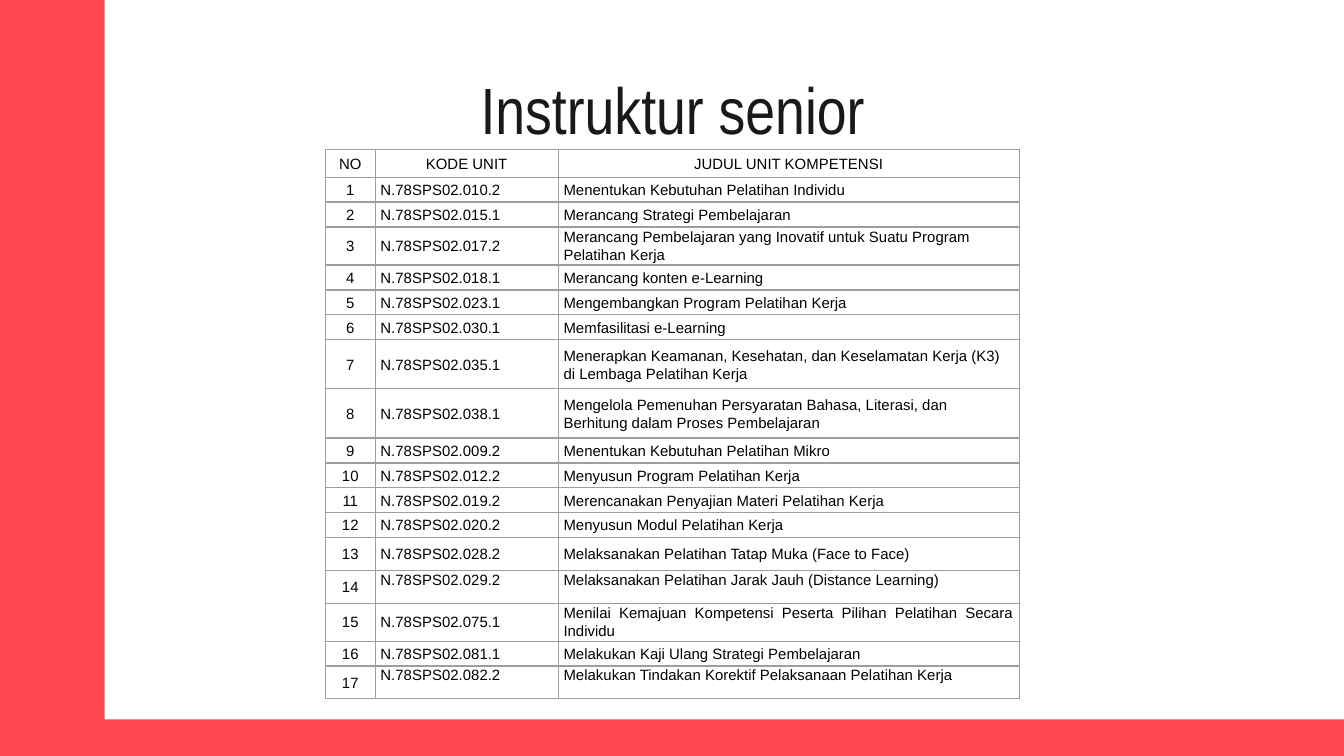
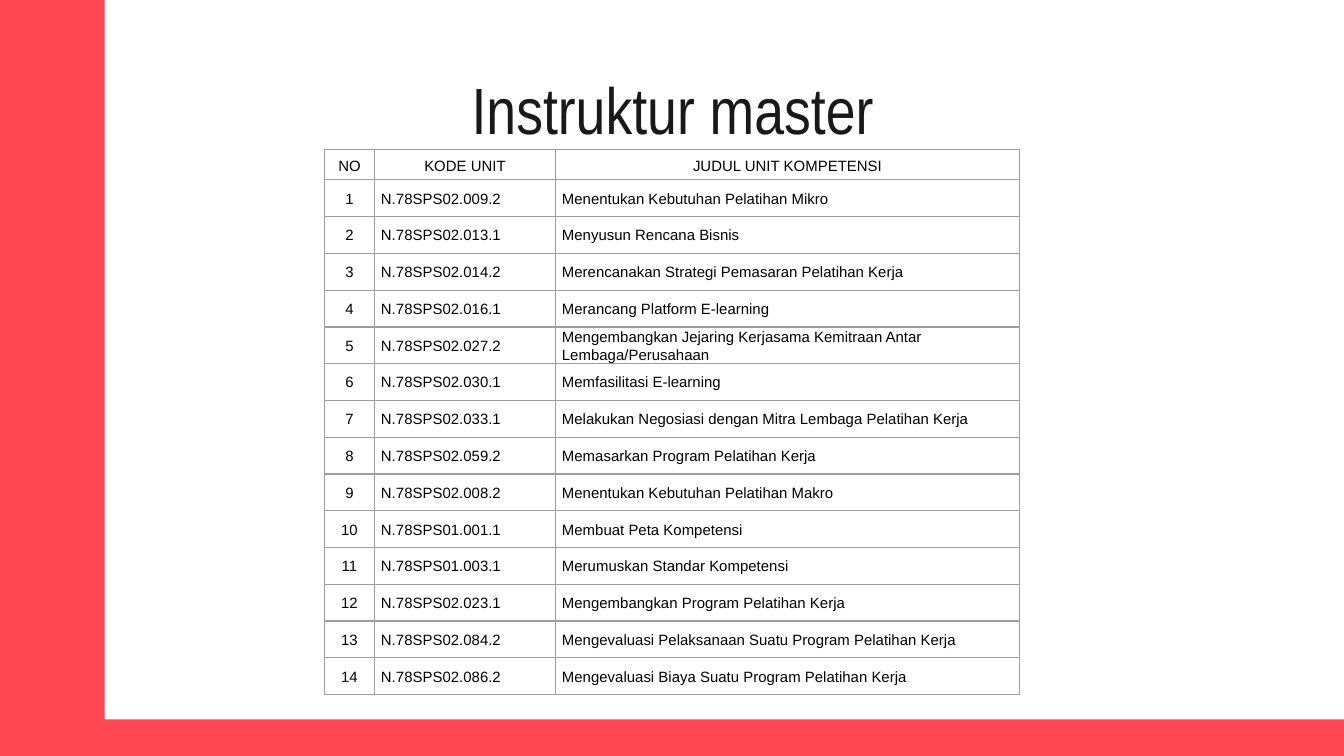
from dataclasses import dataclass

from lxml import etree
from pptx import Presentation
from pptx.dml.color import RGBColor
from pptx.enum.shapes import MSO_SHAPE
from pptx.enum.text import MSO_ANCHOR, MSO_AUTO_SIZE, PP_ALIGN
from pptx.oxml.ns import qn
from pptx.util import Cm, Length, Pt

RECTANGLE = MSO_SHAPE.RECTANGLE
LEFT, CENTER, JUSTIFY = PP_ALIGN.LEFT, PP_ALIGN.CENTER, PP_ALIGN.JUSTIFY
TOP, MIDDLE = MSO_ANCHOR.TOP, MSO_ANCHOR.MIDDLE
NO_AUTOFIT = MSO_AUTO_SIZE.NONE

RED = RGBColor(0xFF, 0x48, 0x52)
INK = RGBColor(0x19, 0x19, 0x19)
BLACK = RGBColor(0, 0, 0)
GRAY = RGBColor(0x9E, 0x9E, 0x9E)
TITLE_FONT, TABLE_FONT = "Arial Narrow", "Arial"

PAGE_WIDTH, PAGE_HEIGHT = Cm(25.4), Cm(14.29)
TITLE_ONLY_LAYOUT = 5
HEADINGS = ("NO", "KODE UNIT", "JUDUL UNIT KOMPETENSI")
SINGLE, ROOMY, DOUBLE, TALL = Cm(0.47), Cm(0.62), Cm(0.72), Cm(0.93)
MASTER_HEADER = Cm(0.58)
MASTER_ROW = Cm((10.32 - 0.58) / 14)


@dataclass(frozen=True)
class Band:
    left: Length
    top: Length
    width: Length
    height: Length


@dataclass(frozen=True)
class Unit:
    code: str
    title: str
    height: Length = SINGLE
    align: PP_ALIGN = LEFT
    anchor: MSO_ANCHOR = MIDDLE


@dataclass(frozen=True)
class UnitPage:
    title: str
    left: Length
    top: Length
    columns: tuple[Length, ...]
    header_height: Length
    inset: Length
    units: tuple[Unit, ...]


BANDS = (
    Band(Cm(0), Cm(0), Cm(1.98), PAGE_HEIGHT),
    Band(Cm(0), Cm(13.6), PAGE_WIDTH, PAGE_HEIGHT - Cm(13.6)),
)

SENIOR_UNITS = (
    Unit("N.78SPS02.010.2", "Menentukan Kebutuhan Pelatihan Individu"),
    Unit("N.78SPS02.015.1", "Merancang Strategi Pembelajaran"),
    Unit("N.78SPS02.017.2",
         "Merancang Pembelajaran yang Inovatif untuk Suatu Program Pelatihan Kerja",
         DOUBLE),
    Unit("N.78SPS02.018.1", "Merancang konten e-Learning"),
    Unit("N.78SPS02.023.1", "Mengembangkan Program Pelatihan Kerja"),
    Unit("N.78SPS02.030.1", "Memfasilitasi e-Learning"),
    Unit("N.78SPS02.035.1",
         "Menerapkan Keamanan, Kesehatan, dan Keselamatan Kerja (K3) "
         "di Lembaga Pelatihan Kerja", TALL),
    Unit("N.78SPS02.038.1",
         "Mengelola Pemenuhan Persyaratan Bahasa, Literasi, dan "
         "Berhitung dalam Proses Pembelajaran", TALL),
    Unit("N.78SPS02.009.2", "Menentukan Kebutuhan Pelatihan Mikro", align=JUSTIFY),
    Unit("N.78SPS02.012.2", "Menyusun Program Pelatihan Kerja", align=JUSTIFY),
    Unit("N.78SPS02.019.2", "Merencanakan Penyajian Materi Pelatihan Kerja",
         align=JUSTIFY),
    Unit("N.78SPS02.020.2", "Menyusun Modul Pelatihan Kerja", align=JUSTIFY),
    Unit("N.78SPS02.028.2", "Melaksanakan Pelatihan Tatap Muka (Face to Face)",
         ROOMY, JUSTIFY),
    Unit("N.78SPS02.029.2", "Melaksanakan Pelatihan Jarak Jauh (Distance Learning)",
         ROOMY, anchor=TOP),
    Unit("N.78SPS02.075.1",
         "Menilai Kemajuan Kompetensi Peserta Pilihan Pelatihan Secara Individu",
         DOUBLE, JUSTIFY),
    Unit("N.78SPS02.081.1", "Melakukan Kaji Ulang Strategi Pembelajaran",
         align=JUSTIFY),
    Unit("N.78SPS02.082.2", "Melakukan Tindakan Korektif Pelaksanaan Pelatihan Kerja",
         ROOMY, anchor=TOP),
)

MASTER_UNITS = (
    Unit("N.78SPS02.009.2", "Menentukan Kebutuhan Pelatihan Mikro", MASTER_ROW),
    Unit("N.78SPS02.013.1", "Menyusun Rencana Bisnis", MASTER_ROW),
    Unit("N.78SPS02.014.2", "Merencanakan Strategi Pemasaran Pelatihan Kerja",
         MASTER_ROW),
    Unit("N.78SPS02.016.1", "Merancang Platform E-learning", MASTER_ROW),
    Unit("N.78SPS02.027.2",
         "Mengembangkan Jejaring Kerjasama Kemitraan Antar Lembaga/Perusahaan",
         MASTER_ROW),
    Unit("N.78SPS02.030.1", "Memfasilitasi E-learning", MASTER_ROW),
    Unit("N.78SPS02.033.1", "Melakukan Negosiasi dengan Mitra Lembaga Pelatihan Kerja",
         MASTER_ROW),
    Unit("N.78SPS02.059.2", "Memasarkan Program Pelatihan Kerja", MASTER_ROW),
    Unit("N.78SPS02.008.2", "Menentukan Kebutuhan Pelatihan Makro", MASTER_ROW, JUSTIFY),
    Unit("N.78SPS01.001.1", "Membuat Peta Kompetensi", MASTER_ROW, JUSTIFY),
    Unit("N.78SPS01.003.1", "Merumuskan Standar Kompetensi", MASTER_ROW, JUSTIFY),
    Unit("N.78SPS02.023.1", "Mengembangkan Program Pelatihan Kerja", MASTER_ROW, JUSTIFY),
    Unit("N.78SPS02.084.2", "Mengevaluasi Pelaksanaan Suatu Program Pelatihan Kerja",
         MASTER_ROW, JUSTIFY),
    Unit("N.78SPS02.086.2", "Mengevaluasi Biaya Suatu Program Pelatihan Kerja",
         MASTER_ROW, JUSTIFY),
)

UNIT_PAGES = (
    UnitPage("Instruktur senior", Cm(6.15), Cm(2.83),
             (Cm(0.94), Cm(3.46), Cm(8.71)), Cm(0.52), Cm(0.1), SENIOR_UNITS),
    UnitPage("Instruktur master", Cm(6.13), Cm(2.82),
             (Cm(0.95), Cm(3.42), Cm(8.77)), MASTER_HEADER, Cm(0.12), MASTER_UNITS),
)


def add_span(para, text: str, font: str, size: float, color: RGBColor) -> None:
    span = para.add_run()
    span.text = text
    span.font.name = font
    span.font.size = Pt(size)
    span.font.color.rgb = color


def draw_band(page, band: Band) -> None:
    shape = page.shapes.add_shape(RECTANGLE, band.left, band.top, band.width, band.height)
    shape.shadow.inherit = False
    shape.fill.solid()
    shape.fill.fore_color.rgb = RED
    shape.line.fill.background()


def write_title(page, text: str) -> None:
    box = page.shapes.title
    box.left, box.top, box.width, box.height = Cm(2.01), Cm(1.24), Cm(21.41), Cm(1.6)
    frame = box.text_frame
    frame.auto_size = NO_AUTOFIT
    frame.word_wrap = True
    frame.vertical_anchor = MIDDLE
    frame.margin_left = frame.margin_right = Cm(0.25)
    frame.margin_top = frame.margin_bottom = Cm(0.25)
    para = frame.paragraphs[0]
    para.alignment = CENTER
    add_span(para, text, TITLE_FONT, 35, INK)


def outline_cell(cell) -> None:
    properties = cell._tc.get_or_add_tcPr()
    for side in ("a:lnL", "a:lnR", "a:lnT", "a:lnB"):
        line = etree.SubElement(properties, qn(side), w=str(Pt(0.75)))
        fill = etree.SubElement(line, qn("a:solidFill"))
        etree.SubElement(fill, qn("a:srgbClr"), val=str(GRAY))


def write_cell(cell, text: str, inset: Length, align: PP_ALIGN,
               anchor: MSO_ANCHOR = MIDDLE, spacing: float = 1.07) -> None:
    outline_cell(cell)
    cell.fill.background()
    cell.margin_left = cell.margin_right = inset
    cell.margin_top = cell.margin_bottom = 0
    cell.vertical_anchor = anchor
    para = cell.text_frame.paragraphs[0]
    para.alignment = align
    para.line_spacing = spacing
    add_span(para, text, TABLE_FONT, 8, BLACK)


def draw_unit_table(page, content: UnitPage) -> None:
    heights = [content.header_height] + [unit.height for unit in content.units]
    table = page.shapes.add_table(
        len(heights), len(HEADINGS), content.left, content.top,
        sum(content.columns), sum(heights)).table
    table.first_row = table.horz_banding = False
    for column, width in zip(table.columns, content.columns):
        column.width = width
    for row, height in zip(table.rows, heights):
        row.height = height

    # Header row
    for column, heading in enumerate(HEADINGS):
        write_cell(table.cell(0, column), heading, content.inset, CENTER, spacing=1.15)

    # Numbered units
    for number, unit in enumerate(content.units, start=1):
        write_cell(table.cell(number, 0), str(number), content.inset, CENTER)
        write_cell(table.cell(number, 1), unit.code, content.inset, LEFT, unit.anchor)
        write_cell(table.cell(number, 2), unit.title, content.inset, unit.align,
                   unit.anchor)


def main() -> None:
    deck = Presentation()
    deck.slide_width, deck.slide_height = PAGE_WIDTH, PAGE_HEIGHT
    for content in UNIT_PAGES:
        page = deck.slides.add_slide(deck.slide_layouts[TITLE_ONLY_LAYOUT])
        for band in BANDS:
            draw_band(page, band)
        write_title(page, content.title)
        draw_unit_table(page, content)
    deck.save("out.pptx")


if __name__ == "__main__":
    main()
